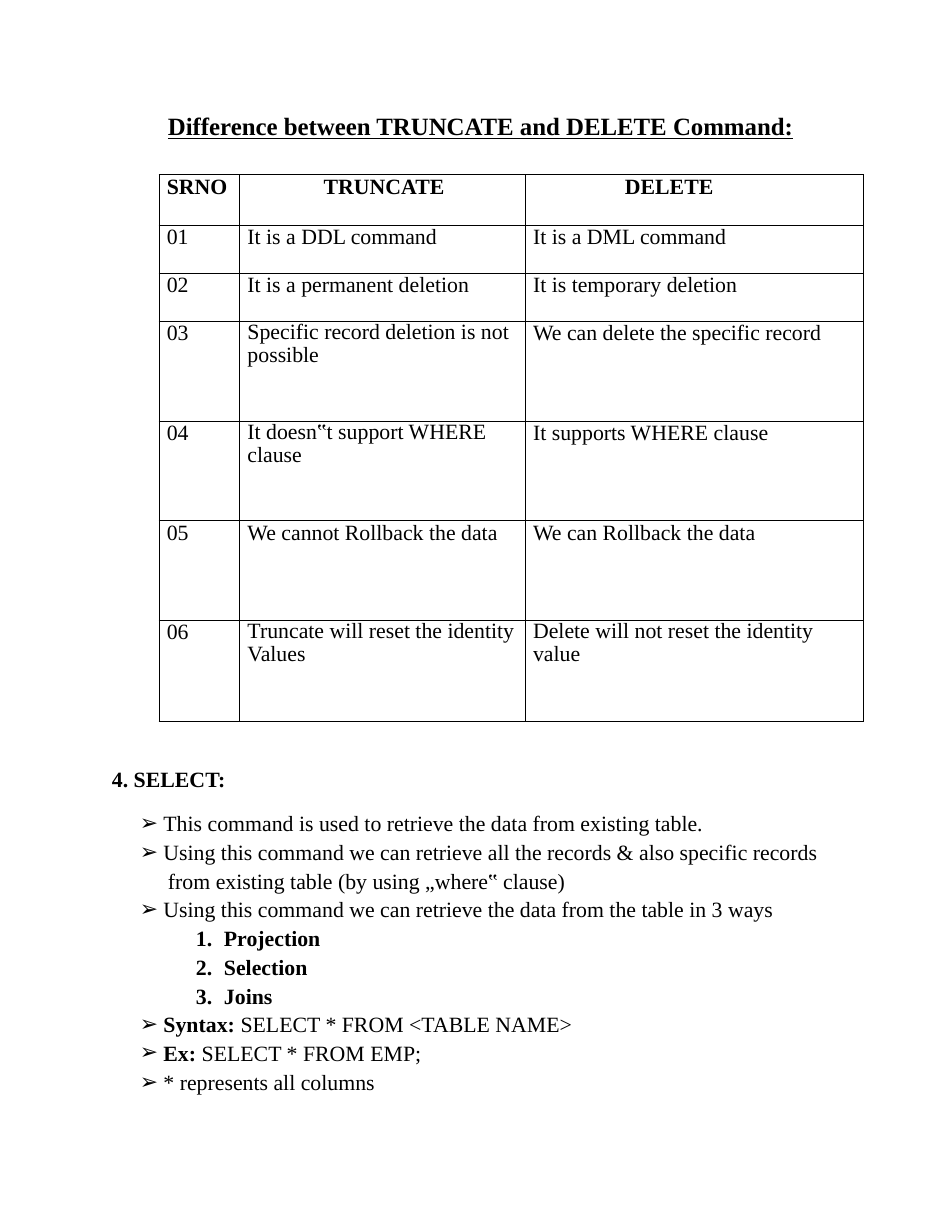
from lxml.etree import SubElement
from pptx import Presentation
from pptx.dml.color import RGBColor
from pptx.oxml.ns import qn
from pptx.util import Inches, Pt

FONT = "Times New Roman"
BLACK = "000000"
WIDTHS = [0.72, 2.55, 3.02]
HEIGHTS = [0.45, 0.43, 0.43, 0.89, 0.89, 0.89, 0.9]
INSET = 0.07
HEAD_INSETS = [INSET, 0.75, 0.89]
ROWS = [
    ("SRNO", "TRUNCATE", "DELETE"),
    ("01", "It is a DDL command", "It is a DML command"),
    ("02", "It is a permanent deletion", "It is temporary deletion"),
    ("03", "Specific record deletion is not possible",
     "We can delete the specific record"),
    ("04", "It doesn‟t support WHERE clause", "It supports WHERE clause"),
    ("05", "We cannot Rollback the data", "We can Rollback the data"),
    ("06", "Truncate will reset the identity Values",
     "Delete will not reset the identity value"),
]
# Kind of line, space before, bold text, plain text
LINES = [
    ("arrow", 0, "",
     "This command is used to retrieve the data from existing table."),
    ("arrow", 1.8, "", "Using this command we can retrieve all the records"
     " & also specific records"),
    ("plain", 1.8, "", "from existing table (by using „where‟ clause)"),
    ("arrow", 1.5, "", "Using this command we can retrieve the data"
     " from the table in 3 ways"),
    ("number", 1.6, "Projection", ""),
    ("number", 1.8, "Selection", ""),
    ("number", 1.6, "Joins", ""),
    ("arrow", 1.4, "Syntax: ", "SELECT * FROM <TABLE NAME>"),
    ("arrow", 1.6, "Ex: ", "SELECT * FROM EMP;"),
    ("arrow", 2, "", "* represents all columns"),
]
# Left margin and first-line indent
INDENTS = {"arrow": (0.46, -0.21), "plain": (0.5, 0), "number": (1, -0.25)}


def color(code):
    return RGBColor.from_string(code)


def add_run(para, text, **extra):
    run = para.add_run()
    run.text = text
    style = {"name": FONT, "size": Pt(14), "bold": False} | extra
    for key, value in style.items():
        setattr(run.font, key, value)
    run.font.color.rgb = color(BLACK)


def add_box(slide, left, top, width, height):
    box = slide.shapes.add_textbox(*map(Inches, (left, top, width, height)))
    frame = box.text_frame
    for side in ("left", "top", "right", "bottom"):
        setattr(frame, f"margin_{side}", 0)
    frame.word_wrap = True
    return frame


def add_label(slide, at, text, **style):
    add_run(add_box(slide, *at).paragraphs[0], text, bold=True, **style)


def add_mark(para, kind):
    """Set the indents and the bullet or number of a list line."""
    props = para._p.get_or_add_pPr()
    for key, value in zip(("marL", "indent"), INDENTS[kind]):
        props.set(key, str(Inches(value)))
    if kind == "arrow":
        SubElement(props, qn("a:buFont"), typeface="Arial")
        SubElement(props, qn("a:buChar"), char="➢")
    elif kind == "number":
        SubElement(props, qn("a:buFont"), typeface=FONT)
        SubElement(props, qn("a:buAutoNum"), type="arabicPeriod")
    else:
        SubElement(props, qn("a:buNone"))


def add_list(slide, at):
    frame = add_box(slide, *at)
    for index, (kind, space, bold, plain) in enumerate(LINES):
        para = frame.add_paragraph() if index else frame.paragraphs[0]
        para.space_before = Pt(space)
        add_mark(para, kind)
        for text, heavy in ((bold, True), (plain, False)):
            if text:
                add_run(para, text, bold=heavy)


def add_edges(cell):
    props = cell._tc.get_or_add_tcPr()
    for side in "LRTB":
        line = SubElement(props, qn(f"a:ln{side}"), w=str(Pt(0.48)))
        fill = SubElement(line, qn("a:solidFill"))
        SubElement(fill, qn("a:srgbClr"), val=BLACK)


def fill_cell(cell, text, inset, bold, wraps):
    for side in ("top", "right", "bottom"):
        setattr(cell, f"margin_{side}", 0)
    cell.margin_left = Inches(inset)
    add_edges(cell)
    cell.fill.background()
    para = cell.text_frame.paragraphs[0]
    if wraps:
        para.line_spacing = 0.95
    add_run(para, text, bold=bold)


def add_grid(slide, left, top):
    size = (left, top, sum(WIDTHS), sum(HEIGHTS))
    table = slide.shapes.add_table(
        len(ROWS), len(WIDTHS), *map(Inches, size)).table
    table.first_row = table.horz_banding = False
    for col, width in zip(table.columns, WIDTHS):
        col.width = Inches(width)
    for r, (texts, height) in enumerate(zip(ROWS, HEIGHTS)):
        table.rows[r].height = Inches(height)
        for c, text in enumerate(texts):
            inset = INSET if r else HEAD_INSETS[c]
            wraps = len(text) > WIDTHS[c] * 11.5  # about 11.5 letters an inch
            fill_cell(table.cell(r, c), text, inset, r == 0, wraps)


def main():
    deck = Presentation()
    deck.slide_width, deck.slide_height = Inches(8.5), Inches(11)
    slide = deck.slides.add_slide(deck.slide_layouts[6])
    add_label(slide, (1.5, 0.99, 5.84, 0.26),
              "Difference between TRUNCATE and DELETE Command:",
              size=Pt(16), underline=True)
    add_grid(slide, 1.42, 1.56)
    add_label(slide, (1, 6.84, 6.34, 0.23), "4. SELECT:")
    add_list(slide, (1, 7.23, 6.5, 2.53))
    deck.save("out.pptx")


if __name__ == "__main__":
    main()
